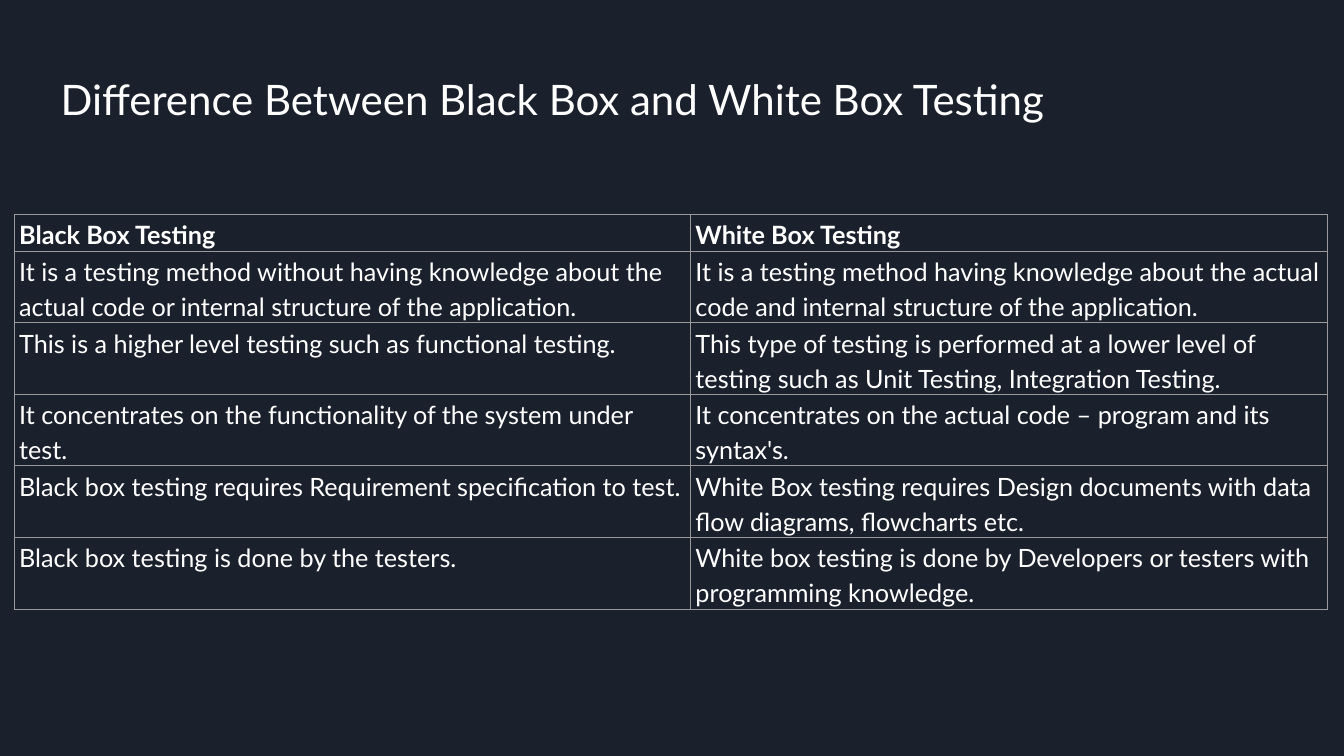
from lxml.etree import SubElement
from pptx import Presentation
from pptx.dml.color import RGBColor
from pptx.enum.text import MSO_ANCHOR
from pptx.oxml.ns import qn
from pptx.util import Pt

ROWS = [
    ("Black Box Testing", "White Box Testing"),
    ("It is a testing method without having knowledge about the actual code or internal structure of the application.",
     "It is a testing method having knowledge about the actual code and internal structure of the application."),
    ("This is a higher level testing such as functional testing.",
     "This type of testing is performed at a lower level of testing such as Unit Testing, Integration Testing."),
    ("It concentrates on the functionality of the system under test.",
     "It concentrates on the actual code – program and its syntax's."),
    ("Black box testing requires Requirement specification to test.",
     "White Box testing requires Design documents with data flow diagrams, flowcharts etc."),
    ("Black box testing is done by the testers.",
     "White box testing is done by Developers or testers with programming knowledge."),
]


def color(code):
    return RGBColor.from_string(code)


def write(frame, text, font="Lato", size=18, ink="FFFFFF", bold=False, lead=1.15):
    para = frame.paragraphs[0]
    para.line_spacing = lead
    run = para.add_run()
    run.text = text
    run.font.name = font
    run.font.size = Pt(size)
    run.font.bold = bold
    run.font.color.rgb = color(ink)


def inset(item, left, top, right, bottom):
    item.margin_left, item.margin_right = Pt(left), Pt(right)
    item.margin_top, item.margin_bottom = Pt(top), Pt(bottom)


class Deck:
    back = "1B212C"
    rule = "9A9A9A"

    def __init__(self, wide, high):
        self.show = Presentation()
        self.show.slide_width, self.show.slide_height = Pt(wide), Pt(high)
        self.slide = self.show.slides.add_slide(self.show.slide_layouts[6])
        fill = self.slide.background.fill
        fill.solid()
        fill.fore_color.rgb = color(self.back)

    def title(self, text, left, top, wide, high):
        box = self.slide.shapes.add_textbox(Pt(left), Pt(top), Pt(wide), Pt(high))
        frame = box.text_frame
        frame.word_wrap = True
        frame.vertical_anchor = MSO_ANCHOR.BOTTOM
        inset(frame, 18.8, 3.6, 7.2, 3.6)
        write(frame, text, size=30, lead=0.9)

    def border(self, cell):
        props = cell._tc.get_or_add_tcPr()
        for side in ("lnL", "lnR", "lnT", "lnB"):
            line = SubElement(props, qn(f"a:{side}"), w=str(Pt(0.75)))
            fill = SubElement(line, qn("a:solidFill"))
            SubElement(fill, qn("a:srgbClr"), val=self.rule)

    def table(self, rows, left, top, wides, highs):
        shape = self.slide.shapes.add_table(
            len(rows), len(wides), Pt(left), Pt(top), Pt(sum(wides)), Pt(sum(highs)))
        grid = shape.table
        grid.horz_banding = grid.first_row = False
        for col, wide in zip(grid.columns, wides):
            col.width = Pt(wide)
        for num, (row, high) in enumerate(zip(grid.rows, highs)):
            row.height = Pt(high)
            for cell, text in zip(row.cells, rows[num]):
                self.border(cell)
                cell.fill.background()
                inset(cell, 3.6, 0.72, 3.6, 0.72)
                write(cell.text_frame, text, bold=num == 0)


def main():
    deck = Deck(960, 540)
    deck.title("Difference Between Black Box and White Box Testing", 24.5, 25.9, 903.6, 67)
    deck.table(ROWS, 10.1, 153.1, [483.1, 455], [26.4] + [51.1] * 5)
    deck.show.save("out.pptx")


if __name__ == "__main__":
    main()
